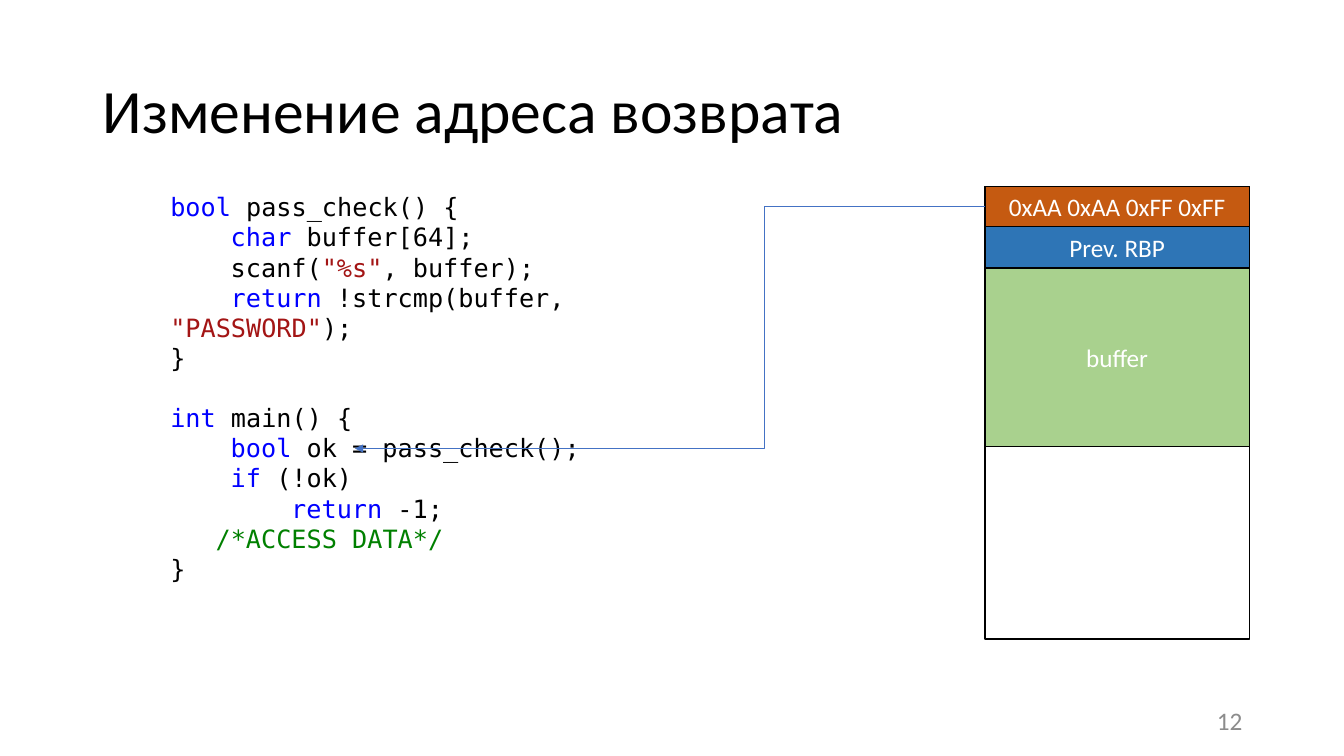
from lxml import etree
from pptx import Presentation
from pptx.dml.color import RGBColor
from pptx.enum.shapes import MSO_CONNECTOR, MSO_SHAPE
from pptx.enum.text import MSO_ANCHOR, PP_ALIGN
from pptx.oxml.ns import qn
from pptx.util import Inches, Pt

RECTANGLE = MSO_SHAPE.RECTANGLE
ELBOW = MSO_CONNECTOR.ELBOW
TOP, MIDDLE = MSO_ANCHOR.TOP, MSO_ANCHOR.MIDDLE
LEFT, CENTER, RIGHT = PP_ALIGN.LEFT, PP_ALIGN.CENTER, PP_ALIGN.RIGHT

COLORS = {
    "plain": "000000", "keyword": "0000FF", "string": "A31515", "comment": "008000",
    "number": "8C8C8C", "white": "FFFFFF", "address": "C55A11", "pointer": "2E75B6",
    "buffer": "A9D18E", "arrow": "4472C4",
}
BODY_FONT, CODE_FONT = "Calibri", "DejaVu Sans Mono"
CHARACTER_WIDTH = 0.15  # one code character, in inches
FUNCTION_GAP = 21  # one code line, in points

# Each code line: indent in characters, then (text, color name) spans
CHECK_FUNCTION = [
    (0, [("bool", "keyword"), (" pass_check() {", "plain")]),
    (4, [("char", "keyword"), (" buffer[64];", "plain")]),
    (4, [("scanf(", "plain"), ('"%s"', "string"), (", buffer);", "plain")]),
    (4, [("return", "keyword"), (" !strcmp(buffer, ", "plain"),
         ('"PASSWORD"', "string"), (");", "plain")]),
    (0, [("}", "plain")]),
]
MAIN_FUNCTION = [
    (0, [("int", "keyword"), (" main() {", "plain")]),
    (4, [("bool", "keyword"), (" ok = pass_check();", "plain")]),
    (4, [("if", "keyword"), (" (!ok)", "plain")]),
    (8, [("return", "keyword"), (" -1;", "plain")]),
    (3, [("/*ACCESS DATA*/", "comment")]),
    (0, [("}", "plain")]),
]

# Stack frame: label, color name, height from the top down
STACK_LEFT, STACK_TOP, STACK_WIDTH, STACK_HEIGHT = 9.77, 1.85, 2.62, 4.49
STACK_CELLS = [
    ("0xAA 0xAA 0xFF 0xFF", "address", 0.4),
    ("Prev. RBP", "pointer", 0.41),
    ("buffer", "buffer", 1.77),
]


def rgb(name):
    return RGBColor.from_string(COLORS[name])


def set_attributes(target, values):
    for name, value in values.items():
        setattr(target, name, value)


def add_span(para, text, color, size=18, font=BODY_FONT):
    span = para.add_run()
    span.text = text
    set_attributes(span.font, {"size": Pt(size), "name": font})
    span.font.color.rgb = rgb(color)


def add_text_box(page, left, top, width, height, anchor=TOP):
    box = page.shapes.add_textbox(Inches(left), Inches(top), Inches(width), Inches(height))
    set_attributes(box.text_frame, {"word_wrap": True, "vertical_anchor": anchor})
    return box.text_frame


def add_label(page, bounds, text, color, size, anchor, alignment, spacing=1.0):
    para = add_text_box(page, *bounds, anchor).paragraphs[0]
    set_attributes(para, {"alignment": alignment, "line_spacing": spacing})
    add_span(para, text, color, size)


def add_code(page, bounds, functions):
    frame = add_text_box(page, *bounds)
    para = frame.paragraphs[0]
    for function in functions:
        for number, (indent, spans) in enumerate(function):
            if para.runs:
                para = frame.add_paragraph()
                if number == 0:
                    para.space_before = Pt(FUNCTION_GAP)
            # Only the first line is indented, so wrapped text returns to the margin
            para._p.get_or_add_pPr().set("indent", str(Inches(indent * CHARACTER_WIDTH)))
            for text, color in spans:
                add_span(para, text, color, font=CODE_FONT)


def add_cell(page, top, height, label="", color=None):
    cell = page.shapes.add_shape(RECTANGLE, Inches(STACK_LEFT), Inches(top),
                                 Inches(STACK_WIDTH), Inches(height))
    cell.shadow.inherit = False
    cell.line.color.rgb = rgb("plain")
    cell.line.width = Pt(1)
    if color:
        cell.fill.solid()
        cell.fill.fore_color.rgb = rgb(color)
    else:
        cell.fill.background()
    if label:
        cell.text_frame.vertical_anchor = MIDDLE
        para = cell.text_frame.paragraphs[0]
        para.alignment = CENTER
        add_span(para, label, "white")


def add_stack(page):
    add_cell(page, STACK_TOP, STACK_HEIGHT)
    top = STACK_TOP
    for label, color, height in STACK_CELLS:
        add_cell(page, top, height, label, color)
        top += height


def add_bent_arrow(page, start, end, bend):
    arrow = page.shapes.add_connector(ELBOW, *(Inches(value) for value in (*start, *end)))
    arrow.line.color.rgb = rgb("arrow")
    arrow.line.width = Pt(0.5)
    properties = arrow._element.spPr
    # Place of the bend as a share of the width
    guides = properties.find(qn("a:prstGeom")).get_or_add_avLst()
    etree.SubElement(guides, qn("a:gd"), name="adj1", fmla=f"val {round(bend * 100000)}")
    etree.SubElement(properties.find(qn("a:ln")), qn("a:tailEnd"), type="triangle")
    etree.SubElement(properties, qn("a:effectLst"))


def main():
    deck = Presentation()
    set_attributes(deck, {"slide_width": Inches(13.33), "slide_height": Inches(7.5)})
    page = deck.slides.add_slide(deck.slide_layouts[6])

    # Title and page number
    add_label(page, (0.92, 0.4, 11.5, 1.45), "Изменение адреса возврата",
              "plain", 44, MIDDLE, LEFT, 0.9)
    add_label(page, (9.42, 6.95, 3, 0.4), "12", "number", 18, TOP, RIGHT)

    # Code, stack frame and the jump from the return address
    add_code(page, (1.59, 1.85, 5.69, 3.74), [CHECK_FUNCTION, MAIN_FUNCTION])
    add_stack(page)
    add_bent_arrow(page, (STACK_LEFT, 2.05), (3.52, 4.45), 0.35)

    deck.save("out.pptx")


if __name__ == "__main__":
    main()
